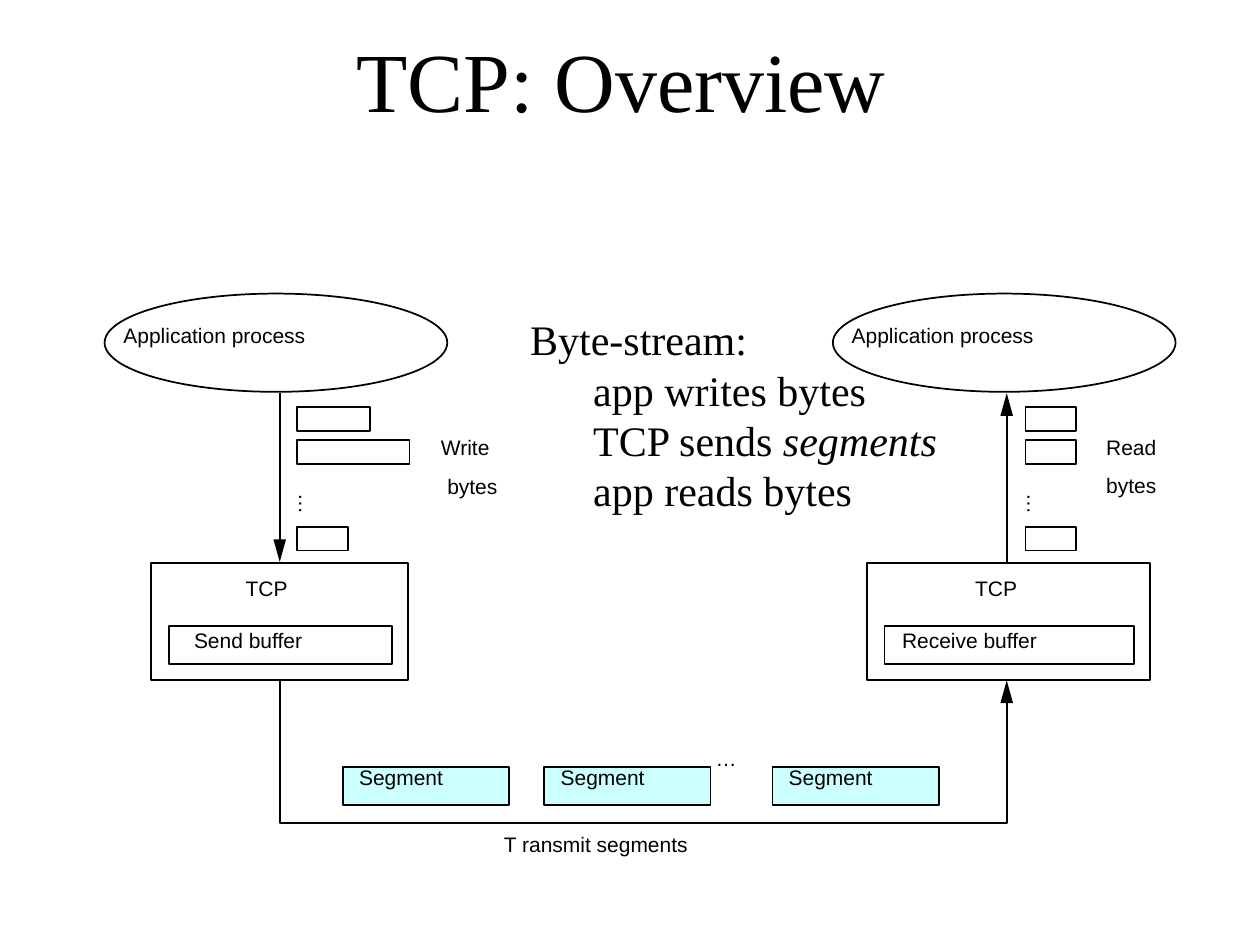
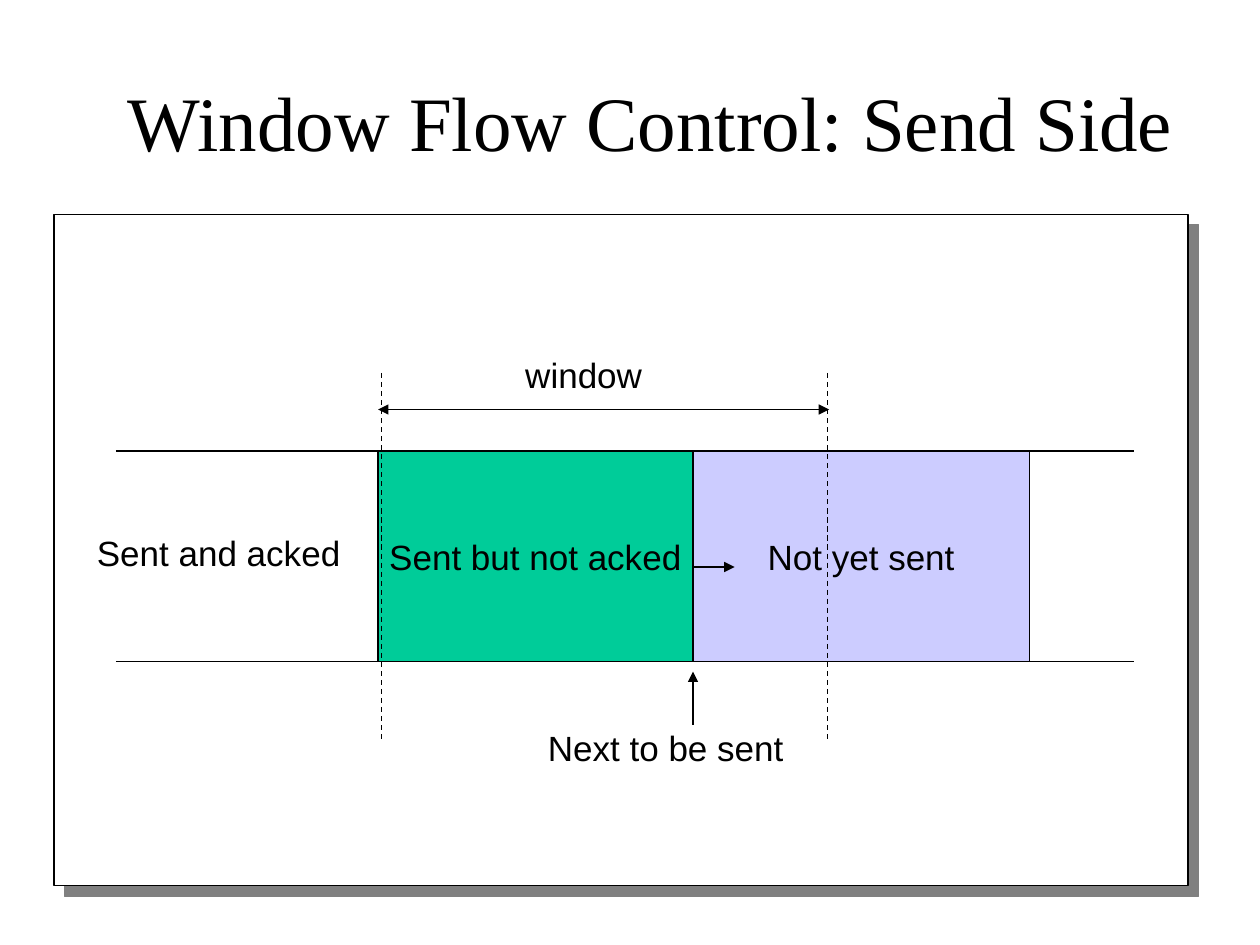
from lxml.etree import SubElement
from pptx import Presentation
from pptx.dml.color import RGBColor
from pptx.enum.dml import MSO_LINE
from pptx.enum.shapes import MSO_CONNECTOR, MSO_SHAPE
from pptx.enum.text import MSO_ANCHOR, MSO_AUTO_SIZE, PP_ALIGN
from pptx.oxml.ns import qn
from pptx.util import Inches, Pt

BLACK, WHITE, SHADOW = "000000", "FFFFFF", "808080"
SEGMENT_BLUE, ACKED_GREEN, UNSENT_LILAC = "CCFFFF", "00CC99", "CCCCFF"
TITLE_FONT, LABEL_FONT = "Times New Roman", "Arial"
color = RGBColor.from_string


def add_box(slide, preset, left, top, width, height, fill=None, line=1,
            text=None, size=12, margin=0):
    """Add a preset shape, or a text box when preset is None."""
    place = [Inches(value) for value in (left, top, width, height)]
    if preset is None:
        shape = slide.shapes.add_textbox(*place)
    else:
        shape = slide.shapes.add_shape(preset, *place)
        shape.shadow.inherit = False
        if fill:
            shape.fill.solid()
            shape.fill.fore_color.rgb = color(fill)
        else:
            shape.fill.background()
        if line:
            shape.line.color.rgb = color(BLACK)
            shape.line.width = Pt(line)
        else:
            shape.line.fill.background()
    if text:
        frame = shape.text_frame
        frame.word_wrap = False
        frame.margin_left = frame.margin_right = Inches(margin)
        frame.margin_top = frame.margin_bottom = Inches(margin / 2)
        run = frame.paragraphs[0].add_run()
        run.text = text
        run.font.name, run.font.size = LABEL_FONT, Pt(size)
        run.font.color.rgb = color(BLACK)
    return shape


def add_line(slide, start, end, width=0.75, dashed=False, arrows=()):
    """Add a straight line; arrows names the ends that get a triangle."""
    connector = slide.shapes.add_connector(
        MSO_CONNECTOR.STRAIGHT, *[Inches(value) for value in start + end])
    connector.line.color.rgb = color(BLACK)
    connector.line.width = Pt(width)
    if dashed:
        connector.line.dash_style = MSO_LINE.DASH
    properties = connector._element.spPr
    for arrow in arrows:
        SubElement(properties.find(qn("a:ln")), qn("a:" + arrow), type="triangle")
    SubElement(properties, qn("a:effectLst"))


presentation = Presentation()
presentation.slide_width, presentation.slide_height = Inches(10), Inches(7.5)

# Slides and titles
slides = []
for text, size, left, top, width in [
    ("TCP: Overview", 48, 0.68, 0, 8.5),
    ("Window Flow Control: Send Side", 44, 0.75, 0.33, 8.83),
]:
    slide = presentation.slides.add_slide(presentation.slide_layouts[5])
    title = slide.shapes.title
    title.left, title.top = Inches(left), Inches(top)
    title.width, title.height = Inches(width), Inches(1.25)
    title.text_frame.auto_size = MSO_AUTO_SIZE.NONE
    title.text_frame.vertical_anchor = MSO_ANCHOR.MIDDLE
    paragraph = title.text_frame.paragraphs[0]
    paragraph.alignment = PP_ALIGN.CENTER
    run = paragraph.add_run()
    run.text = text
    run.font.name, run.font.size = TITLE_FONT, Pt(size)
    run.font.color.rgb = color(BLACK)
    slides.append(slide)
overview, window = slides

# Slide 1: segments on the wire
for left in (2.72, 4.32, 6.13):
    add_box(overview, MSO_SHAPE.RECTANGLE, left, 6.09, 1.32, 0.3, SEGMENT_BLUE)
    add_box(overview, None, left + 0.13, 6.07, 0.8, 0.2, text="Segment")
add_box(overview, None, 5.68, 5.92, 0.17, 0.2, text="…")
add_box(overview, None, 4, 6.6, 1.6, 0.2, text="T ransmit segments")

# Sender and receiver: process, queued bytes, TCP box and its buffer
for (process_left, byte_left, byte_widths, tcp_left, tcp_width, tcp_label,
     buffer_label, buffer_name) in [
    (0.83, 2.36, (0.58, 0.89, 0.4), 1.2, 2.04, 1.95, 1.54, "Send buffer"),
    (6.61, 8.14, (0.4, 0.4, 0.4), 6.88, 2.25, 7.74, 7.16, "Receive buffer"),
]:
    add_box(overview, MSO_SHAPE.OVAL, process_left, 2.33, 2.72, 0.78)
    add_box(overview, None, process_left + 0.15, 2.56, 1.6, 0.2,
            text="Application process")
    for top, width in zip((3.23, 3.49, 4.18), byte_widths):
        add_box(overview, MSO_SHAPE.RECTANGLE, byte_left, top, width, 0.19)
    dots = add_box(overview, None, byte_left - 0.12, 3.9, 0.17, 0.2, text="…")
    dots.rotation = 270
    add_box(overview, MSO_SHAPE.RECTANGLE, tcp_left, 4.47, tcp_width, 0.93)
    add_box(overview, MSO_SHAPE.RECTANGLE, tcp_left + 0.14, 4.97,
            tcp_width - 0.27, 0.3)
    add_box(overview, None, tcp_label, 4.57, 0.5, 0.2, text="TCP")
    add_box(overview, None, buffer_label, 4.98, 1.2, 0.2, text=buffer_name)

for text, left, top in [("Write", 3.5, 3.45), ("bytes", 3.55, 3.76),
                        ("Read", 8.78, 3.45), ("bytes", 8.78, 3.75)]:
    add_box(overview, None, left, top, 0.5, 0.2, text=text)

# Data path with solid arrowheads
send_x, receive_x = 2.22, 7.99
add_line(overview, (send_x, 3.12), (send_x, 4.31), 1)
add_line(overview, (receive_x, 4.47), (receive_x, 3.26), 1)
builder = overview.shapes.build_freeform(Inches(send_x), Inches(5.39))
builder.add_line_segments(
    [(Inches(x), Inches(y)) for x, y in
     [(send_x, 6.53), (receive_x, 6.53), (receive_x, 5.57)]], close=False)
wire = builder.convert_to_shape()
wire.shadow.inherit = False
wire.fill.background()
wire.line.color.rgb = color(BLACK)
wire.line.width = Pt(1)
for x, top, rotation in [(send_x, 4.28, 180), (receive_x, 3.12, 0),
                         (receive_x, 5.4, 0)]:
    arrowhead = add_box(overview, MSO_SHAPE.ISOSCELES_TRIANGLE,
                        x - 0.05, top, 0.1, 0.18, BLACK, line=None)
    arrowhead.rotation = rotation

# Byte-stream summary
summary = add_box(overview, None, 4.11, 2.44, 5, 1.7).text_frame
summary.word_wrap = True
for number, parts in enumerate([["Byte-stream:"], ["app writes bytes"],
                                ["TCP sends ", "segments"], ["app reads bytes"]]):
    paragraph = summary.add_paragraph() if number else summary.paragraphs[0]
    if number:
        paragraph.level = 1
        paragraph._p.get_or_add_pPr().set("marL", str(Inches(0.5)))
    for part in parts:
        run = paragraph.add_run()
        run.text = part
        run.font.name, run.font.size = TITLE_FONT, Pt(24)
        run.font.italic = part == "segments"
        run.font.color.rgb = color(BLACK)

# Slide 2: panel with a hard shadow, behind the title
panel = add_box(window, MSO_SHAPE.RECTANGLE, 0.43, 1.7, 9, 5.33, WHITE, 0.75)
effects = panel._element.spPr.find(qn("a:effectLst"))
shadow = SubElement(effects, qn("a:outerShdw"), blurRad="0", dist=str(Pt(8.5)),
                    dir="2700000", algn="ctr", rotWithShape="0")
SubElement(shadow, qn("a:srgbClr"), val=SHADOW)
window.shapes._spTree.insert(2, panel._element)

# Byte sequence
band_top, band_bottom = 3.58, 5.25
for y in (band_top, band_bottom):
    add_line(window, (0.92, y), (9, y))
for text, left, width, fill in [("Sent but not acked", 3, 2.5, ACKED_GREEN),
                                ("Not yet sent", 5.5, 2.67, UNSENT_LILAC)]:
    block = add_box(window, MSO_SHAPE.RECTANGLE, left, band_top, width,
                    band_bottom - band_top, fill, 0.75, text, 20, 0.1)
    block.text_frame.vertical_anchor = MSO_ANCHOR.MIDDLE
    block.text_frame.paragraphs[0].alignment = PP_ALIGN.CENTER

# Window limits and arrows
for x in (3.03, 6.57):
    add_line(window, (x, 2.96), (x, 5.88), dashed=True)
add_line(window, (3, 3.25), (6.58, 3.25), arrows=("headEnd", "tailEnd"))
add_line(window, (5.5, 5.75), (5.5, 5.33), arrows=("tailEnd",))
add_line(window, (5.5, 4.5), (5.83, 4.5), arrows=("tailEnd",))

# Labels
for text, left, top, width in [("window", 4.07, 2.76, 1.25),
                               ("Next to be sent", 4.25, 5.72, 2.2),
                               ("Sent and acked", 0.67, 4.17, 2.25)]:
    add_box(window, None, left, top, width, 0.44, text=text, size=20, margin=0.1)

presentation.save("out.pptx")
